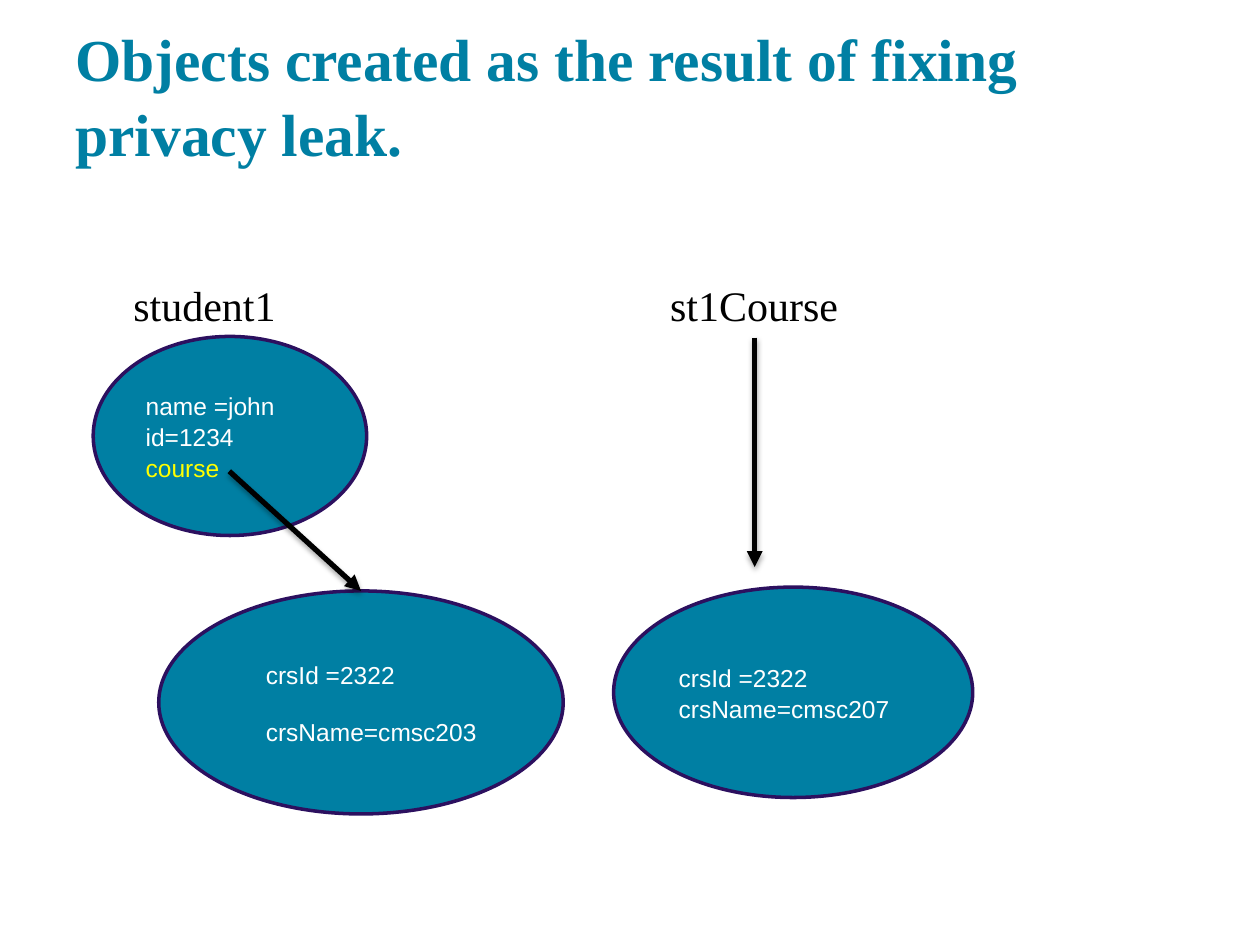
from lxml.etree import SubElement
from pptx import Presentation
from pptx.dml.color import RGBColor
from pptx.enum.shapes import MSO_CONNECTOR as Connector, MSO_SHAPE as Shape
from pptx.enum.text import MSO_ANCHOR as Anchor, MSO_AUTO_SIZE as AutoSize, PP_ALIGN as Align
from pptx.oxml.ns import qn
from pptx.util import Inches, Pt

COLORS = {
    "teal": "007FA3",
    "purple": "2C105F",
    "black": "000000",
    "white": "FFFFFF",
    "yellow": "FFFF00",
}
COLUMNS, ROWS = 100, 75
SERIF, SANS = "Times New Roman", "Arial"


def color(name):
    return RGBColor.from_string(COLORS[name])


def add_node(parent, tag, **attributes):
    return SubElement(parent, qn(tag), {key: str(value) for key, value in attributes.items()})


def write(frame, lines, size, font=SANS, tint="white", bold=False, highlights=(),
          before=0, indent=0, spacing=1.05):
    """Fill a text frame, one paragraph a line; highlighted lines turn yellow."""
    for index, line in enumerate(lines):
        para = frame.paragraphs[0] if index == 0 else frame.add_paragraph()
        para.alignment = Align.LEFT
        para.line_spacing = spacing
        para.space_before = Pt(before if index else 0)
        if indent:
            properties = para._p.get_or_add_pPr()
            properties.set("marL", str(Inches(indent)))
            properties.set("indent", "0")
            add_node(properties, "a:buNone")
        span = para.add_run()
        span.text = line
        span.font.name, span.font.size, span.font.bold = font, Pt(size), bold
        span.font.color.rgb = color("yellow" if line in highlights else tint)


class Diagram:
    """Style and current slide; lengths are columns and rows of the grid."""

    def __init__(self, deck):
        self.column = deck.slide_width / COLUMNS
        self.row = deck.slide_height / ROWS
        self.slide = deck.slides.add_slide(deck.slide_layouts[1])

    def place(self, left, top, width, height):
        return (round(left * self.column), round(top * self.row),
                round(width * self.column), round(height * self.row))

    def move(self, shape, area):
        shape.left, shape.top, shape.width, shape.height = self.place(*area)

    def title(self, text, area):
        title = self.slide.shapes.title
        self.move(title, area)
        frame = title.text_frame
        frame.auto_size, frame.vertical_anchor = AutoSize.NONE, Anchor.BOTTOM
        frame.margin_top = frame.margin_bottom = Inches(0.1)
        write(frame, [text], 34, SERIF, "teal", bold=True)

    def paint(self, shape):
        shape.fill.solid()
        shape.fill.fore_color.rgb = color("teal")
        shape.line.color.rgb = color("purple")
        shape.line.width = Pt(2)
        shape.text_frame.vertical_anchor = Anchor.MIDDLE

    def ellipse(self, lines, area, **style):
        shape = self.slide.shapes.add_shape(Shape.OVAL, *self.place(*area))
        shape.shadow.inherit = False
        self.paint(shape)
        write(shape.text_frame, lines, 14, **style)

    def body_ellipse(self, lines, area):
        """Give the body placeholder an elliptic outline and a spaced list."""
        body = self.slide.placeholders[1]
        self.move(body, area)
        outline = add_node(body._element.spPr, "a:prstGeom", prst="ellipse")
        add_node(outline, "a:avLst")
        self.paint(body)
        body.text_frame.auto_size = AutoSize.NONE
        write(body.text_frame, lines, 14, before=15, indent=0.28)
        return body

    def label(self, text, area):
        box = self.slide.shapes.add_textbox(*self.place(*area))
        box.text_frame.word_wrap = False
        box.text_frame.auto_size = AutoSize.SHAPE_TO_FIT_TEXT
        write(box.text_frame, [text], 24, SERIF, "black", spacing=1)

    def arrow(self, start, end, target=None):
        ends = self.place(*start, *end)
        line = self.slide.shapes.add_connector(Connector.STRAIGHT, *ends)
        if target is not None:
            line.end_connect(target, 0)
        line.line.color.rgb = color("black")
        line.line.width = Pt(3)
        add_node(line.line._get_or_add_ln(), "a:tailEnd", type="triangle")
        effects = add_node(line._element.spPr, "a:effectLst")
        shadow = add_node(effects, "a:outerShdw", blurRad=Pt(3.1), dist=Pt(1.8),
                          dir=90 * 60000, rotWithShape=0)
        shade = add_node(shadow, "a:srgbClr", val=COLORS["black"])
        add_node(shade, "a:alpha", val=35000)


def main():
    deck = Presentation()
    deck.slide_width, deck.slide_height = Inches(10), Inches(7.5)
    diagram = Diagram(deck)
    diagram.title("Objects created as the result of fixing privacy leak.", (5, 2.4, 90, 12))
    diagram.ellipse(["name =john", "id=1234", "course"], (7.4, 26.7, 21.7, 15.8),
                    highlights=["course"])
    diagram.ellipse(["crsId =2322", "crsName=cmsc207"], (48.7, 46.6, 28.5, 16.7))
    course = diagram.body_ellipse(["crsId =2322", "crsName=cmsc203"], (12.6, 46.9, 32.1, 17.7))
    diagram.arrow((18.2, 37.4), (28.7, 46.9), course)
    diagram.label("student1", (9.6, 21.7, 13.4, 5))
    diagram.label("st1Course", (52.2, 21.7, 15.5, 5))
    diagram.arrow((59.9, 26.8), (59.9, 45))
    deck.save("out.pptx")


if __name__ == "__main__":
    main()
